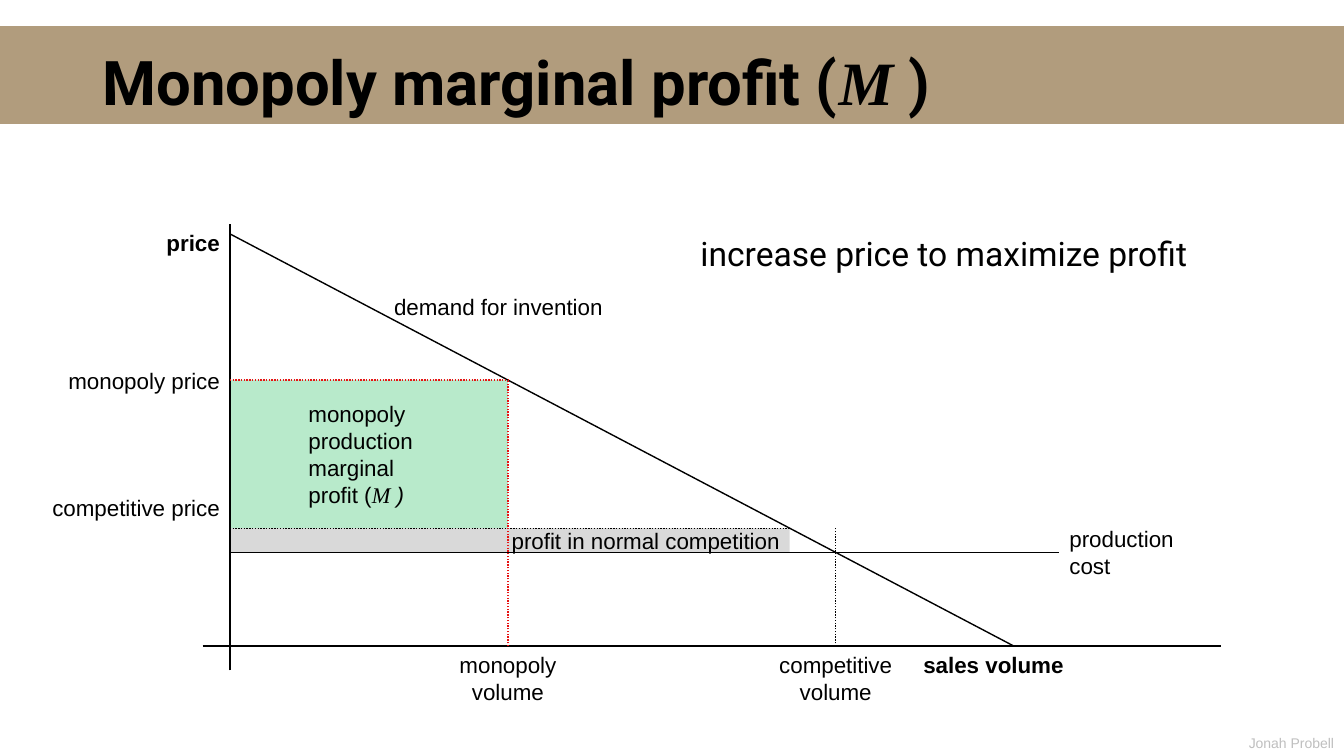
from lxml import etree
from pptx import Presentation, util as u
from pptx.dml.color import RGBColor
from pptx.enum import dml, shapes, text
from pptx.oxml import ns

BLACK = RGBColor(0x00, 0x00, 0x00)
RED = RGBColor(0xE7, 0x13, 0x13)
TAN = RGBColor(0xB1, 0x9C, 0x7D)
GREY = RGBColor(0xD9, 0xD9, 0xD9)
GREEN = RGBColor(0xB8, 0xEA, 0xCB)
FAINT = RGBColor(0xBF, 0xBF, 0xBF)

LEFT, CENTER, RIGHT = text.PP_ALIGN.LEFT, text.PP_ALIGN.CENTER, text.PP_ALIGN.RIGHT
TOP, MIDDLE, BOTTOM = text.MSO_ANCHOR.TOP, text.MSO_ANCHOR.MIDDLE, text.MSO_ANCHOR.BOTTOM
SYMBOL = {"font": "Times New Roman", "italic": True}

WIDTH, HEIGHT = u.Inches(13.333), u.Inches(7.5)

# Places on the chart, in percent of the slide's width and height
PRICE_AXIS, VOLUME_AXIS = 17.1, 85.47
AXIS_TOP, AXIS_BOTTOM = 29.6, 88.67
AXIS_START, AXIS_END = 15.08, 90.83
DEMAND_TOP, DEMAND_END = 30.93, 75.45
MONOPOLY_PRICE, COMPETITIVE_PRICE, COST = 50.27, 69.87, 73.07
COST_END = 78.83
LINE_HEIGHT, LABEL_PADDING = 3.6, 1.33


def volume_at(price):
    """Horizontal place where the demand line meets a price level."""
    slope = (DEMAND_END - PRICE_AXIS) / (VOLUME_AXIS - DEMAND_TOP)
    return PRICE_AXIS + (price - DEMAND_TOP) * slope


def across(percent):
    return round(WIDTH * percent / 100)


def down(percent):
    return round(HEIGHT * percent / 100)


def box(left, top, width, height):
    return across(left), down(top), across(width), down(height)


def write_text(frame, paragraphs, align=LEFT, anchor=TOP, wrap=False, spacing=None, **formatting):
    """Fill a frame; a paragraph is a string or a list of (string, format) runs."""
    frame.word_wrap = wrap
    frame.auto_size = text.MSO_AUTO_SIZE.NONE
    frame.vertical_anchor = anchor
    for index, content in enumerate(paragraphs):
        paragraph = frame.add_paragraph() if index else frame.paragraphs[0]
        paragraph.alignment = align
        paragraph.line_spacing = spacing
        runs = [(content, {})] if isinstance(content, str) else content
        for words, changes in runs:
            style = {"size": 16, "font": "Arial", "color": BLACK, **formatting, **changes}
            run = paragraph.add_run()
            run.text = words
            run.font.name = style["font"]
            run.font.size = u.Pt(style["size"])
            run.font.color.rgb = style["color"]
            run.font.bold = style.get("bold", False)
            run.font.italic = style.get("italic", False)


def add_label(slide, lines, left, width, top=None, middle=None, **formatting):
    """Place a label by its top edge or by its vertical middle."""
    height = LABEL_PADDING + LINE_HEIGHT * len(lines)
    if top is None:
        top = middle - height / 2
    label = slide.shapes.add_textbox(*box(left, top, width, height))
    write_text(label.text_frame, lines, **formatting)


def add_area(slide, left, top, right, bottom, color):
    area = slide.shapes.add_shape(
        shapes.MSO_SHAPE.RECTANGLE, *box(left, top, right - left, bottom - top))
    area.shadow.inherit = False
    area.fill.solid()
    area.fill.fore_color.rgb = color
    area.line.fill.background()
    return area


def add_line(slide, start, end, color=BLACK, dotted=False):
    line = slide.shapes.add_connector(
        shapes.MSO_CONNECTOR.STRAIGHT,
        across(start[0]), down(start[1]), across(end[0]), down(end[1]))
    line.line.color.rgb = color
    line.line.width = u.Pt(1)
    if dotted:
        line.line.dash_style = dml.MSO_LINE.ROUND_DOT
    etree.SubElement(line.element.spPr, ns.qn("a:effectLst"))


def add_title(slide):
    title = slide.shapes.title
    title.left, title.top, title.width, title.height = box(6.88, 1.73, 86.25, 14.67)
    write_text(title.text_frame,
               [[("Monopoly marginal profit (", {}), ("M", SYMBOL), (" )", {})]],
               anchor=BOTTOM, wrap=True, spacing=0.9, font="Roboto", size=44, bold=True)
    band = add_area(slide, 0, 3.47, 100, 16.4, TAN)
    title.element.addprevious(band.element)


def add_profit_areas(slide, monopoly_volume, sold_volume):
    competition = add_area(slide, PRICE_AXIS, COMPETITIVE_PRICE, sold_volume, COST, GREY)
    write_text(competition.text_frame, ["profit in normal competition"],
               align=RIGHT, anchor=MIDDLE)
    monopoly = add_area(slide, PRICE_AXIS, MONOPOLY_PRICE, monopoly_volume,
                        COMPETITIVE_PRICE, GREEN)
    monopoly.text_frame.margin_left = u.Inches(0.78)
    write_text(monopoly.text_frame,
               ["monopoly", "production", "marginal",
                [("profit (", {}), ("M", SYMBOL), (" )", {"italic": True})]],
               anchor=MIDDLE)


def add_chart_lines(slide, monopoly_volume, sold_volume, competitive_volume):
    add_line(slide, (PRICE_AXIS, AXIS_BOTTOM), (PRICE_AXIS, AXIS_TOP))
    add_line(slide, (AXIS_START, VOLUME_AXIS), (AXIS_END, VOLUME_AXIS))
    add_line(slide, (PRICE_AXIS, DEMAND_TOP), (DEMAND_END, VOLUME_AXIS))
    add_line(slide, (PRICE_AXIS, COST), (COST_END, COST))
    add_line(slide, (PRICE_AXIS, COMPETITIVE_PRICE), (sold_volume, COMPETITIVE_PRICE),
             dotted=True)
    add_line(slide, (competitive_volume, VOLUME_AXIS),
             (competitive_volume, COMPETITIVE_PRICE), dotted=True)
    corner = (monopoly_volume, MONOPOLY_PRICE)
    for start in ((PRICE_AXIS, MONOPOLY_PRICE), (monopoly_volume, VOLUME_AXIS)):
        add_line(slide, start, corner, color=RED, dotted=True)


def add_chart_labels(slide, monopoly_volume, competitive_volume):
    for name, width, middle, bold in (("price", 5.55, 32.07, True),
                                      ("monopoly price", 12.9, 50.33, False),
                                      ("competitive price", 14.1, 67.13, False)):
        add_label(slide, [name], PRICE_AXIS - width, width, middle=middle,
                  align=RIGHT, anchor=MIDDLE, bold=bold)
    for name, volume, width in (("monopoly", monopoly_volume, 8.78),
                                ("competitive", competitive_volume, 10.05)):
        add_label(slide, [name, "volume"], volume - width / 2, width,
                  top=VOLUME_AXIS, align=CENTER)
    add_label(slide, ["sales volume"], 67.8, 12.08, top=VOLUME_AXIS, align=RIGHT, bold=True)
    add_label(slide, ["demand for invention"], 28.58, 17.25, middle=40.6, anchor=MIDDLE)
    add_label(slide, ["production", "cost"], COST_END, 9.38, middle=COST, anchor=MIDDLE)


def main():
    presentation = Presentation()
    presentation.slide_width, presentation.slide_height = WIDTH, HEIGHT
    slide = presentation.slides.add_slide(presentation.slide_layouts.get_by_name("Title Only"))
    monopoly_volume = volume_at(MONOPOLY_PRICE)
    sold_volume = volume_at(COMPETITIVE_PRICE)
    competitive_volume = volume_at(COST)

    add_title(slide)
    add_profit_areas(slide, monopoly_volume, sold_volume)
    add_chart_lines(slide, monopoly_volume, sold_volume, competitive_volume)
    add_chart_labels(slide, monopoly_volume, competitive_volume)
    add_label(slide, ["increase price to maximize profit"], 51.38, 43.88, top=30.13,
              font="Roboto", size=24)
    add_label(slide, ["Jonah Probell"], 92.1, 7.9, middle=97.53, align=RIGHT,
              anchor=BOTTOM, size=10, color=FAINT)
    presentation.save("out.pptx")


if __name__ == "__main__":
    main()
